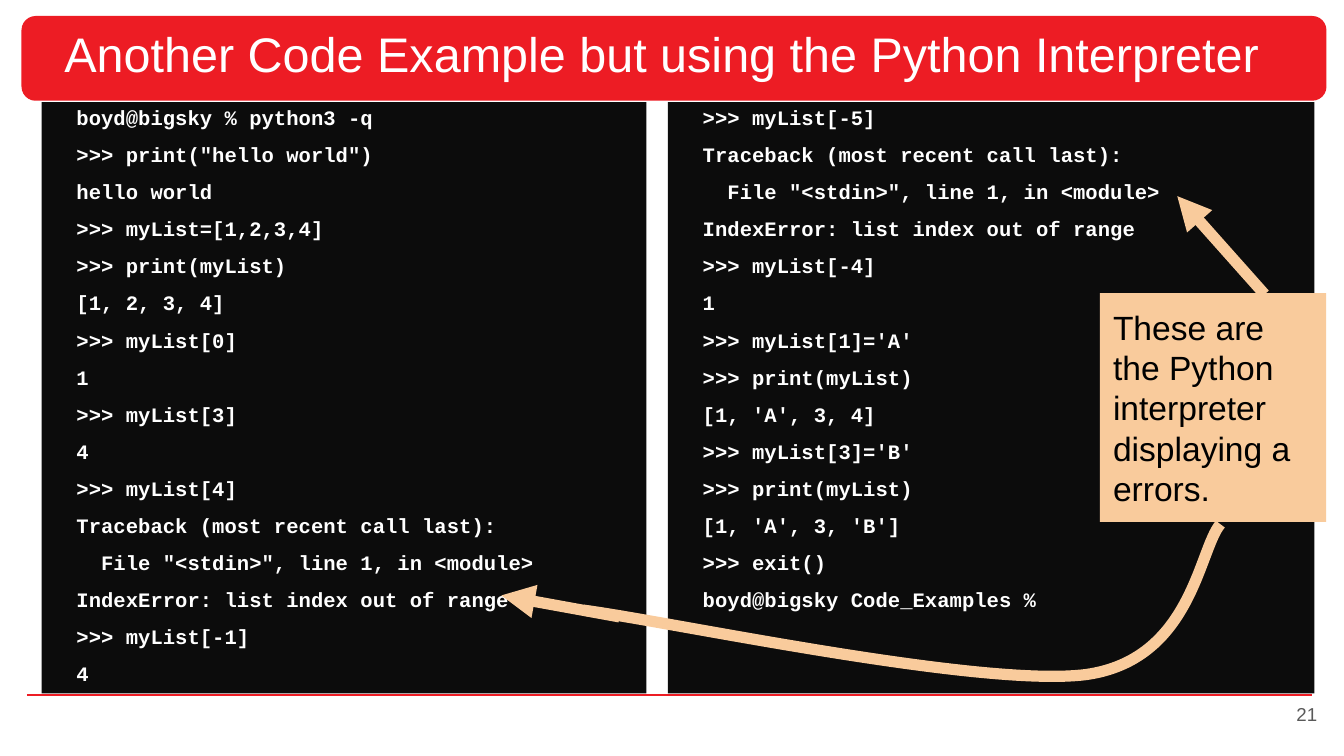
from lxml.etree import SubElement
from pptx import Presentation
from pptx.dml.color import RGBColor
from pptx.enum.shapes import MSO_CONNECTOR as CONNECTOR, MSO_SHAPE as SHAPE
from pptx.enum.text import MSO_ANCHOR as ANCHOR, PP_ALIGN as ALIGN
from pptx.oxml.ns import qn
from pptx.util import Pt

COLORS = {
    "red": "ED1C24",
    "terminal": "0C0C0C",
    "white": "FFFFFF",
    "peach": "F9CB9C",
    "black": "000000",
    "gray": "595959",
}

LEFT_SESSION = """boyd@bigsky % python3 -q
>>> print("hello world")
hello world
>>> myList=[1,2,3,4]
>>> print(myList)
[1, 2, 3, 4]
>>> myList[0]
1
>>> myList[3]
4
>>> myList[4]
Traceback (most recent call last):
  File "<stdin>", line 1, in <module>
IndexError: list index out of range
>>> myList[-1]
4"""

RIGHT_SESSION = """>>> myList[-5]
Traceback (most recent call last):
  File "<stdin>", line 1, in <module>
IndexError: list index out of range
>>> myList[-4]
1
>>> myList[1]='A'
>>> print(myList)
[1, 'A', 3, 4]
>>> myList[3]='B'
>>> print(myList)
[1, 'A', 3, 'B']
>>> exit()
boyd@bigsky Code_Examples %"""


def color(name):
    return RGBColor.from_string(COLORS[name])


def add_box(slide, kind, box, fill):
    shape = slide.shapes.add_shape(kind, *map(Pt, box))
    shape.shadow.inherit = False
    shape.fill.solid()
    shape.fill.fore_color.rgb = color(fill)
    shape.line.fill.background()
    return shape


def set_frame(shape, inset_x, inset_y, anchor=ANCHOR.TOP):
    frame = shape.text_frame
    frame.word_wrap = True
    frame.vertical_anchor = anchor
    frame.margin_left = frame.margin_right = Pt(inset_x)
    frame.margin_top = frame.margin_bottom = Pt(inset_y)
    return frame


def add_text(paragraph, text, size, fill, font="Arial", bold=False, align=ALIGN.LEFT):
    paragraph.alignment = align
    run = paragraph.add_run()
    run.text = text
    run.font.name = font
    run.font.size = Pt(size)
    run.font.bold = bold
    run.font.color.rgb = color(fill)


def add_terminal(slide, box, session):
    frame = set_frame(add_box(slide, SHAPE.RECTANGLE, box, "terminal"), 5, 3)
    for index, line in enumerate(session.split("\n")):
        paragraph = frame.paragraphs[0] if index == 0 else frame.add_paragraph()
        paragraph.line_spacing = 0.9
        paragraph.space_before = Pt(8 if index else 0)
        add_text(paragraph, line, 11, "white", "Courier New", True)
        properties = paragraph._p.get_or_add_pPr()
        properties.set("marL", str(Pt(13.7)))
        properties.set("indent", "0")


def add_line(slide, start, end, fill, width, arrow=False):
    line = slide.shapes.add_connector(CONNECTOR.STRAIGHT, *map(Pt, start + end))
    line.line.color.rgb = color(fill)
    line.line.width = Pt(width)
    if arrow:
        SubElement(line.line._get_or_add_ln(), qn("a:tailEnd"), type="triangle")
    SubElement(line._element.spPr, qn("a:effectLst"))


def add_curve(slide, start, controls, fill, width):
    builder = slide.shapes.build_freeform(*map(Pt, start))
    builder.add_line_segments([(Pt(x), Pt(y)) for x, y in controls], close=False)
    shape = builder.convert_to_shape()
    shape.shadow.inherit = False
    shape.fill.background()
    shape.line.color.rgb = color(fill)
    shape.line.width = Pt(width)
    segments = list(shape._element.iter(qn("a:lnTo")))
    outline = segments[0].getparent()
    for first in range(0, len(segments), 3):
        curve = SubElement(outline, qn("a:cubicBezTo"))
        for segment in segments[first:first + 3]:
            curve.append(segment[0])
            outline.remove(segment)


def add_title(slide, text):
    title = slide.shapes.add_textbox(Pt(27.4), Pt(9.4), Pt(671), Pt(45.4))
    paragraph = set_frame(title, 7.2, 7.2).paragraphs[0]
    paragraph.line_spacing = 0.9
    add_text(paragraph, text, 26, "white")


def add_page_number(slide, number):
    box = slide.shapes.add_textbox(Pt(667.4), Pt(367.2), Pt(43.2), Pt(31))
    paragraph = set_frame(box, 5, 3, ANCHOR.MIDDLE).paragraphs[0]
    add_text(paragraph, number, 10, "gray", align=ALIGN.RIGHT)


def add_callout(slide, box, text):
    frame = set_frame(add_box(slide, SHAPE.RECTANGLE, box, "peach"), 7.2, 7.2)
    add_text(frame.paragraphs[0], text, 18, "black")


def main():
    presentation = Presentation()
    presentation.slide_width = Pt(720)
    presentation.slide_height = Pt(405)
    slide = presentation.slides.add_slide(presentation.slide_layouts[6])

    add_line(slide, (14.4, 372.2), (702.7, 372.2), "red", 1)
    add_box(slide, SHAPE.ROUNDED_RECTANGLE, (11.5, 8.6, 699.1, 45.4), "red")
    add_terminal(slide, (22.3, 54.7, 324, 316.8), LEFT_SESSION)
    add_terminal(slide, (357.8, 54.7, 346.3, 316.8), RIGHT_SESSION)
    add_page_number(slide, "21")
    add_title(slide, "Another Code Example but using the Python Interpreter")

    add_line(slide, (677.5, 157.7), (630.7, 105.1), "peach", 6, arrow=True)
    add_callout(slide, (589.2, 157, 121.2, 122.6),
                "These are the Python interpreter displaying a errors.")
    add_curve(slide, (653.8, 280.8),
              [(642.2, 294.5), (638.6, 353.5), (581.8, 361.4),
               (524.9, 368.6), (357.1, 332.6), (312.5, 326.9)], "peach", 6)
    add_line(slide, (331.9, 330.5), (268.6, 319), "peach", 6, arrow=True)

    presentation.save("out.pptx")


if __name__ == "__main__":
    main()
